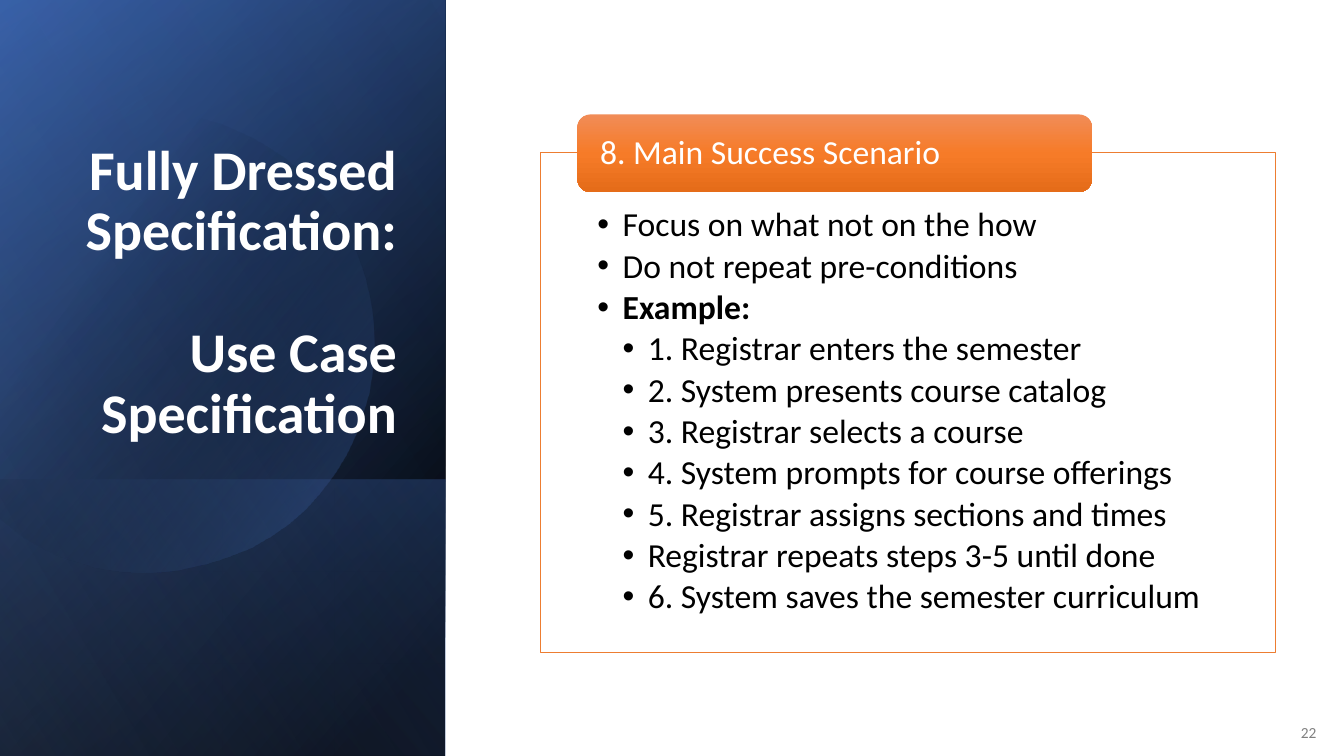
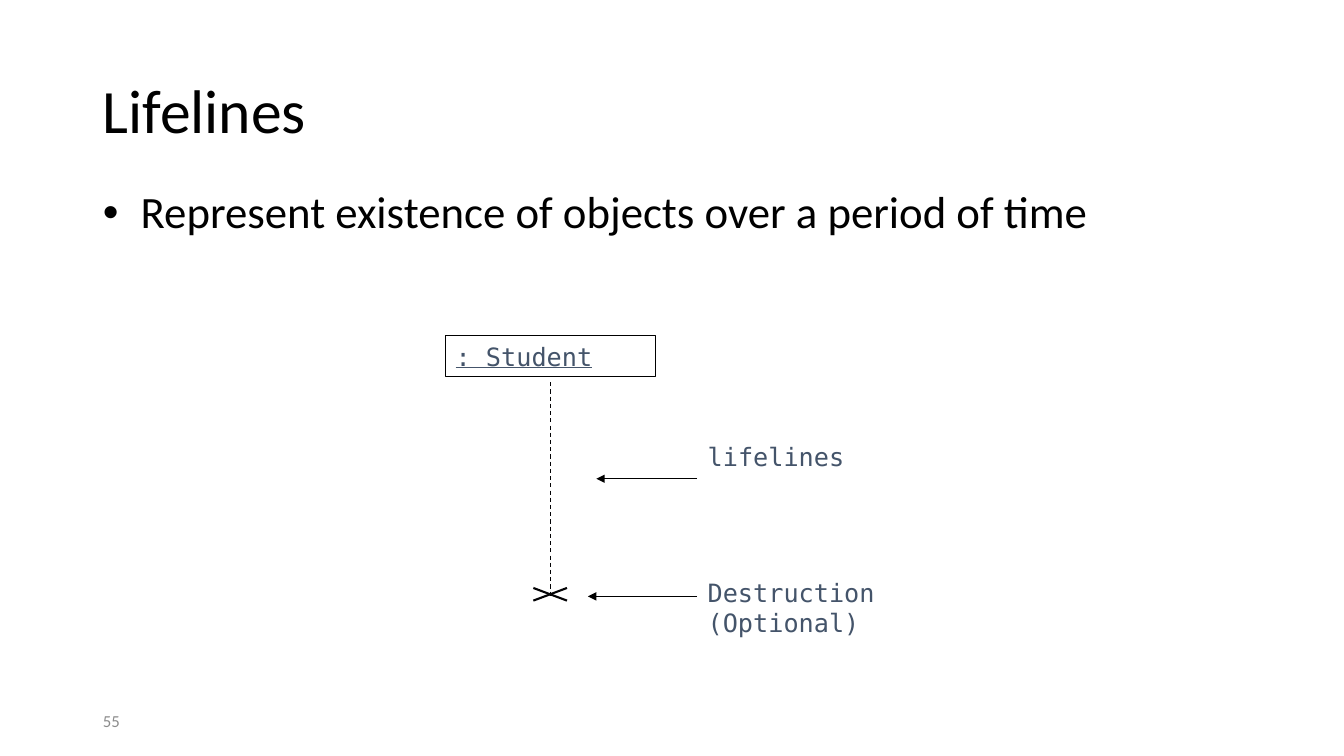
from dataclasses import dataclass

from lxml.etree import SubElement
from pptx import Presentation
from pptx.dml.color import RGBColor
from pptx.enum.dml import MSO_LINE_DASH_STYLE as Dash
from pptx.enum.shapes import MSO_CONNECTOR, MSO_SHAPE as Shape
from pptx.enum.text import MSO_ANCHOR as Anchor, PP_ALIGN as Align
from pptx.oxml import parse_xml
from pptx.oxml.ns import nsdecls, qn
from pptx.util import Pt

PX = 9525  # EMU per px, 96 px to the inch
SLIDE_W, SLIDE_H = 1280, 720


@dataclass(frozen=True)
class Theme:
    sans: str = "Calibri"
    mono: str = "DejaVu Sans Mono"
    black: str = "000000"
    white: str = "FFFFFF"
    orange: str = "ED7D31"
    tab_top: str = "F18C57"
    tab_middle: str = "F67B28"
    tab_bottom: str = "E56C19"
    slate: str = "44546A"
    lifeline: str = "030305"
    grey: str = "808080"
    light_grey: str = "8C8C8C"
    navy: str = "2F5597"
    blue: str = "4472C4"
    pale_blue: str = "8FAADC"
    panel_title: int = 40
    title: int = 44
    lead: int = 32
    body: int = 24
    label: int = 18
    tight: float = 0.9


T = Theme()

# ---- Content ----
PANEL_TITLE = ["Fully Dressed Specification:", "Use Case Specification"]
SCENARIO_HEADER = "8. Main Success Scenario"
SCENARIO = [  # level, text, bold
    (1, "Focus on what not on the how", False),
    (1, "Do not repeat pre-conditions", False),
    (1, "Example:", True),
    (2, "1. Registrar enters the semester", False),
    (2, "2. System presents course catalog", False),
    (2, "3. Registrar selects a course", False),
    (2, "4. System prompts for course offerings", False),
    (2, "5. Registrar assigns sections and times", False),
    (2, "Registrar repeats steps 3-5 until done", False),
    (2, "6. System saves the semester curriculum", False),
]
LIFELINES_TITLE = "Lifelines"
LIFELINES_LEAD = "Represent existence of objects over a period of time"
OBJECT_NAME = ": Student"
CALLOUTS = [  # text, label top, label width, arrow y, arrow tip x
    ("lifelines", 415, 180, 456, 568),
    ("Destruction (Optional)", 545, 319, 568, 560),
]

# ---- Panel layers: box, stops (position, colour, alpha), angle ----
PANEL_W, PANEL_FOOT = 424, 457
PANEL = (0, 0, PANEL_W, SLIDE_H)
FOOT = (0, PANEL_FOOT, PANEL_W, SLIDE_H - PANEL_FOOT)
UNDER_DISC = [
    (PANEL, [(8, T.black, 100), (100, T.navy, 100)], 50),
    (PANEL, [(0, T.black, 0), (99, T.blue, 46)], 30),
    (FOOT, [(2, T.blue, 29), (100, T.black, 30)], 130),
]
OVER_DISC = (PANEL, [(0, T.black, 0), (99, T.pale_blue, 11)], 120)
DISC_STOPS = [(29, T.black, 0), (100, T.blue, 43)]
DISC_RIGHT = [  # curves from the top, round the right, to the left edge
    ((143, 106), (236, 108), (322, 170), (348, 264)),
    ((348, 264), (382, 381), (315, 507), (199, 536)),
    ((199, 536), (126, 557), (51, 539), (0, 493)),
]
DISC_LEFT = [
    ((0, 155), (22, 136), (48, 122), (77, 114)),
    ((77, 114), (99, 108), (121, 106), (143, 106)),
]


# ---- Helpers ----
def emu(*lengths):
    return [round(n * PX) for n in lengths]


def rgb(colour):
    return RGBColor.from_string(colour)


def gradient(shape, stops, angle):
    shape.shadow.inherit = False
    shape.line.fill.background()
    shape.fill.background()
    marks = "".join(
        f'<a:gs pos="{pos * 1000}"><a:srgbClr val="{colour}">'
        f'<a:alpha val="{alpha * 1000}"/></a:srgbClr></a:gs>'
        for pos, colour, alpha in stops)
    props = shape._element.spPr
    props.replace(props.find(qn("a:noFill")), parse_xml(
        f'<a:gradFill {nsdecls("a")} rotWithShape="1"><a:gsLst>{marks}</a:gsLst>'
        f'<a:lin ang="{angle * 60000}" scaled="0"/></a:gradFill>'))


def panel_layer(slide, box, stops, angle):
    """A rectangle turned a quarter and mirrored, so its gradient turns too."""
    x, y, w, h = box
    layer = slide.shapes.add_shape(
        Shape.RECTANGLE, *emu(x + (w - h) / 2, y + (h - w) / 2, h, w))
    layer.rotation = 90
    layer._element.spPr.find(qn("a:xfrm")).set("flipH", "1")
    gradient(layer, stops, angle)


def along(curve, steps=16):
    for i in range(1, steps + 1):
        t = i / steps
        weights = ((1 - t) ** 3, 3 * t * (1 - t) ** 2, 3 * t * t * (1 - t), t ** 3)
        yield tuple(sum(k * p[axis] for k, p in zip(weights, curve)) for axis in (0, 1))


def disc(slide):
    points = [p for curve in DISC_RIGHT for p in along(curve)]
    points.append(DISC_LEFT[0][0])
    points += [p for curve in DISC_LEFT for p in along(curve)]
    builder = slide.shapes.build_freeform(*DISC_RIGHT[0][0], scale=PX)
    builder.add_line_segments(points)
    gradient(builder.convert_to_shape(), DISC_STOPS, 35)


def set_frame(shape, anchor=Anchor.TOP, insets=(10, 5, 10, 5)):
    frame = shape.text_frame
    frame.word_wrap = True
    frame.vertical_anchor = anchor
    (frame.margin_left, frame.margin_top,
     frame.margin_right, frame.margin_bottom) = emu(*insets)
    return frame


def write(frame, text, size, colour, font=T.sans, bold=False, underline=False,
          align=Align.LEFT, spacing=None, before=0, after=0, bullet=None):
    """Add a paragraph; bullet is (left margin, hanging indent) in px."""
    first = frame.paragraphs[0]
    para = frame.add_paragraph() if first.runs else first
    if bullet:
        props = para._p.get_or_add_pPr()
        left, hang = emu(*bullet)
        props.set("marL", str(left))
        props.set("indent", str(-hang))
        SubElement(props, qn("a:buFont")).set("typeface", "Arial")
        SubElement(props, qn("a:buChar")).set("char", "•")
    para.alignment = align
    if spacing:
        para.line_spacing = spacing
    para.space_before, para.space_after = Pt(before), Pt(after)
    run = para.add_run()
    run.text = text
    run.font.name, run.font.size = font, Pt(size)
    run.font.bold, run.font.underline = bold, underline
    run.font.color.rgb = rgb(colour)


def text_box(slide, box, anchor=Anchor.TOP):
    return set_frame(slide.shapes.add_textbox(*emu(*box)), anchor)


def page_number(slide, number, box, size, colour):
    write(text_box(slide, box, Anchor.MIDDLE), number, size, colour)


def outlined_box(slide, box, colour, weight):
    shape = slide.shapes.add_shape(Shape.RECTANGLE, *emu(*box))
    shape.shadow.inherit = False
    shape.fill.solid()
    shape.fill.fore_color.rgb = rgb(T.white)
    shape.line.color.rgb = rgb(colour)
    shape.line.width = Pt(weight)
    return shape


def connect(slide, start, end, colour, weight, dash=None, arrow=False):
    link = slide.shapes.add_connector(MSO_CONNECTOR.STRAIGHT, *emu(*start, *end))
    link.line.color.rgb = rgb(colour)
    link.line.width = Pt(weight)
    if dash:
        link.line.dash_style = dash
    if arrow:
        SubElement(link.line._get_or_add_ln(), qn("a:tailEnd")).set("type", "triangle")
    SubElement(link._element.spPr, qn("a:effectLst"))


# ---- Slides ----
def scenario_slide(slide):
    # Dark title panel
    for layer in UNDER_DISC:
        panel_layer(slide, *layer)
    disc(slide)
    panel_layer(slide, *OVER_DISC)
    title = text_box(slide, (61, 177, 327, 252), Anchor.BOTTOM)
    for i, line in enumerate(PANEL_TITLE):
        write(title, line, T.panel_title, T.white, bold=True, align=Align.RIGHT,
              spacing=T.tight, before=44 * i)
    page_number(slide, "22", (1229, 678, 47, 38), 11, T.grey)

    # Scenario steps
    steps = set_frame(outlined_box(slide, (515, 145, 700, 476), T.orange, 0.5),
                      insets=(54, 53, 54, 18))
    for level, text, bold in SCENARIO:
        write(steps, text, T.body, T.black, bold=bold, spacing=T.tight,
              after=3.6, bullet=(24 * level, 24))

    # Header tab
    header = slide.shapes.add_shape(Shape.ROUNDED_RECTANGLE, *emu(550, 109, 490, 74))
    gradient(header, [(0, T.tab_top, 100), (50, T.tab_middle, 100),
                      (100, T.tab_bottom, 100)], 90)
    write(set_frame(header, Anchor.MIDDLE, (18, 4, 18, 4)), SCENARIO_HEADER,
          T.body, T.white, spacing=T.tight)


def lifelines_slide(slide):
    page_number(slide, "55", (88, 667, 288, 38), 12, T.light_grey)
    write(text_box(slide, (88, 39, 1104, 139), Anchor.MIDDLE), LIFELINES_TITLE,
          T.title, T.black, spacing=T.tight)
    write(text_box(slide, (88, 176, 1000, 136)), LIFELINES_LEAD, T.lead, T.black,
          spacing=T.tight, bullet=(36, 36))

    # Object with its lifeline and destruction cross
    left, top, width, height = student = (424, 320, 200, 39)
    write(set_frame(outlined_box(slide, student, T.black, 0.75)), OBJECT_NAME,
          T.label, T.slate, T.mono, underline=True)
    middle, end = left + width // 2, 568
    connect(slide, (middle, top + height + 5), (middle, end), T.lifeline, 0.75, Dash.DASH)
    for side in (-16, 16):
        connect(slide, (middle + side, 560), (middle - side, 572), T.lifeline, 1.5)

    # Callouts
    label_x = 664
    for text, label_y, label_w, arrow_y, tip_x in CALLOUTS:
        write(text_box(slide, (label_x, label_y, label_w, 68)), text,
              T.label, T.slate, T.mono)
        connect(slide, (label_x, arrow_y), (tip_x, arrow_y), T.black, 0.75, arrow=True)


def main():
    deck = Presentation()
    deck.slide_width, deck.slide_height = emu(SLIDE_W, SLIDE_H)
    blank = deck.slide_layouts[6]
    for build in (scenario_slide, lifelines_slide):
        build(deck.slides.add_slide(blank))
    deck.save("out.pptx")


if __name__ == "__main__":
    main()
